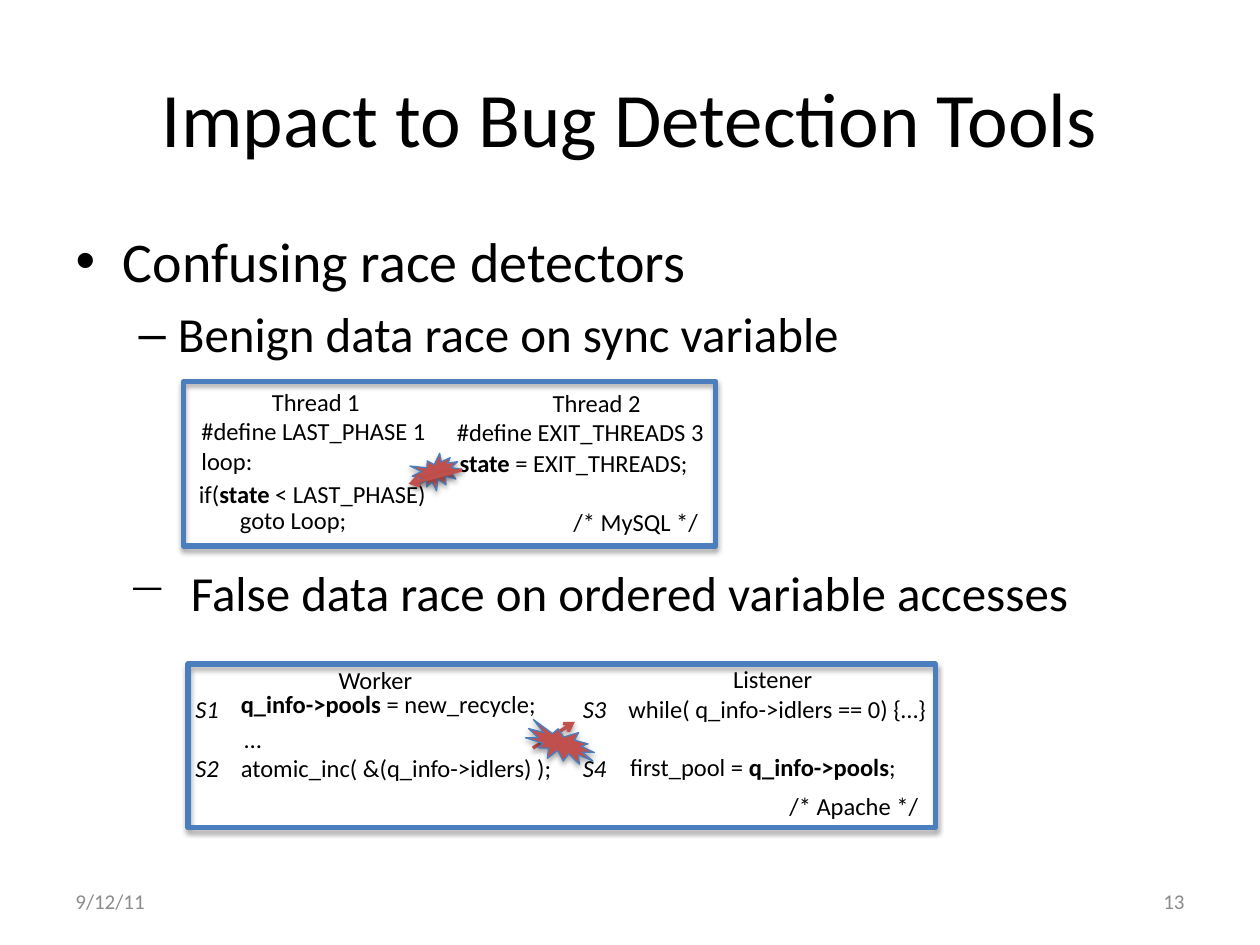
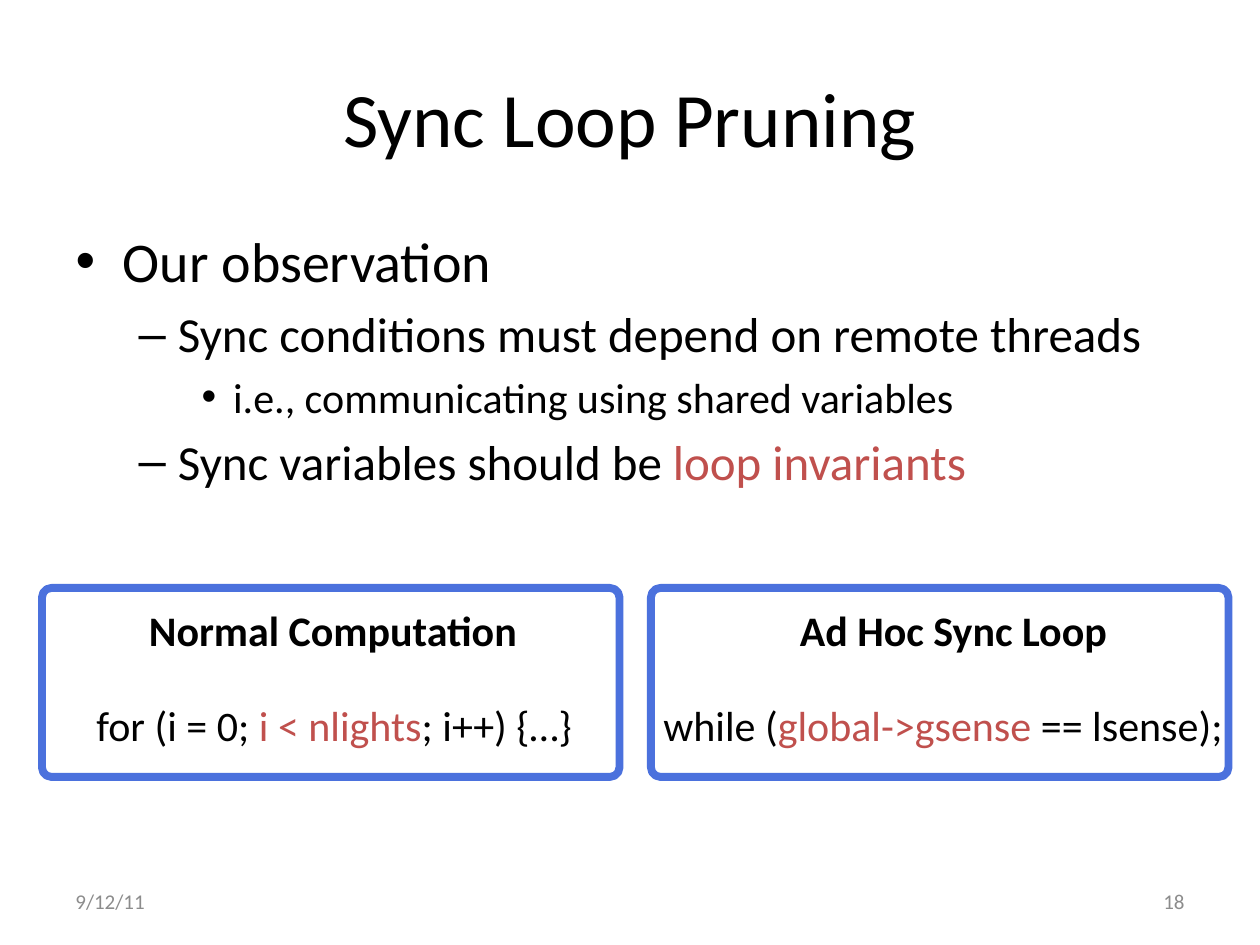
from dataclasses import dataclass

from lxml import etree
from pptx import Presentation
from pptx.dml.color import RGBColor
from pptx.enum.shapes import MSO_CONNECTOR, MSO_SHAPE
from pptx.enum.text import MSO_ANCHOR, MSO_AUTO_SIZE, PP_ALIGN
from pptx.oxml.ns import qn
from pptx.util import Pt

LEFT, CENTER, RIGHT = PP_ALIGN.LEFT, PP_ALIGN.CENTER, PP_ALIGN.RIGHT
MIDDLE = MSO_ANCHOR.MIDDLE
FIT_TEXT, FIXED_SIZE = MSO_AUTO_SIZE.SHAPE_TO_FIT_TEXT, MSO_AUTO_SIZE.NONE
STRAIGHT = MSO_CONNECTOR.STRAIGHT
RECTANGLE, ROUNDED = MSO_SHAPE.RECTANGLE, MSO_SHAPE.ROUNDED_RECTANGLE
EXPLOSION = MSO_SHAPE.EXPLOSION1

BLACK = RGBColor(0x00, 0x00, 0x00)
GRAY = RGBColor(0x8C, 0x8C, 0x8C)
RED = RGBColor(0xC0, 0x50, 0x4D)
STEEL_BLUE = RGBColor(0x4B, 0x7E, 0xBC)
ROYAL_BLUE = RGBColor(0x4B, 0x71, 0xDD)

FONT = "Calibri"
TITLE_SIZE, CODE_SIZE, FOOTER_SIZE = 44, 14, 12
LEVEL_SIZES = (32, 28, 24)
MARGIN, CONTENT_WIDTH = 36, 648
DATE = "9/12/11"


@dataclass
class Line:
    """One paragraph; runs are plain strings or (text, "bold" | "italic" | "red")."""
    runs: list
    level: int = 0
    align: PP_ALIGN = LEFT
    indent: float = 0
    gap: float = 0
    tab: float = 0
    bullet: str = ""


RACE_BULLETS = [
    Line(["Confusing race detectors"]),
    Line(["Benign data race on sync variable"], level=1),
]
FALSE_RACE = Line(["False data race on ordered variable accesses"], indent=36, bullet="−")

# left, top, width, lines
THREAD_COLUMNS = [
    (108, 217.5, 145, [
        Line(["Thread 1"], align=CENTER),
        Line(["#define LAST_PHASE 1"]),
        Line(["loop:"]),
        Line(["goto Loop;"], indent=22, gap=17),
    ]),
    (254, 218, 174, [
        Line(["Thread 2"], align=CENTER),
        Line(["#define EXIT_THREADS 3"]),
    ]),
    (104.5, 376.5, 220, [
        Line(["Worker"], align=CENTER),
        Line([("S1", "italic")]),
        Line(["…"], indent=28),
        Line([("S2", "italic"), "\tatomic_inc( &(q_info->idlers) );"], tab=26),
    ]),
    (326, 376, 231, [
        Line(["Listener"], align=CENTER),
        Line([("S3", "italic"), "\twhile( q_info->idlers == 0) {…}"], tab=26),
        Line([("S4", "italic")], gap=17),
    ]),
]
CODE_FRAMES = [(105, 218, 304, 94), (107.5, 379.5, 427, 93.5)]

# left, top, width, runs
CODE_PIECES = [
    (320.5, 286, 87, ["/* MySQL */"]),
    (444, 448.5, 89, ["/* Apache */"]),
    (106.5, 270, 145.5, ["if(", ("state", "bold"), " < LAST_PHASE)"]),
    (255.5, 252.5, 146, [("state", "bold"), " = EXIT_THREADS;"]),
    (130.5, 390, 184, [("q_info->pools ", "bold"), "= new_recycle;"]),
    (353, 426, 167, ["first_pool = ", ("q_info->pools", "bold"), ";"]),
]
# left, top, width, height, rotation
RACE_BURSTS = [(235.5, 260, 28, 20, -16.6), (300, 415.5, 41, 20, 20.7)]
# start x, start y, end x, end y
ORDER_ARROW = (304.5, 427.5, 328.5, 412.5)
RACE_ARROW = (264, 268.5, 233.5, 276.5)

PRUNING_BULLETS = [
    Line(["Our observation"]),
    Line(["Sync conditions must depend on remote threads"], level=1),
    Line(["i.e., communicating using shared variables"], level=2),
    Line(["Sync variables should be ", ("loop invariants", "red")], level=1),
]
# heading left, heading width, heading, code left, code width, code
LOOP_PANELS = [
    (78, 227, "Normal Computation",
     48, 289.5, ["for (i = 0; ", ("i < nlights", "red"), "; i++) {…}"]),
    (450, 192, "Ad Hoc Sync Loop",
     372, 338, ["while (", ("global->gsense ", "red"), "== lsense);"]),
]
PANEL_LEFT, PANEL_TOP, PANEL_WIDTH, PANEL_HEIGHT, PANEL_STEP = 24, 336, 330, 108, 348


def points(*values):
    return [Pt(value) for value in values]


def fill_paragraph(paragraph, line, size, color=BLACK):
    properties = paragraph._p.get_or_add_pPr()
    if line.indent:
        properties.set("marL", str(Pt(line.indent)))
    if line.bullet:
        properties.set("indent", str(-Pt(line.indent)))
        etree.SubElement(properties, qn("a:buChar"), char=line.bullet)
    if line.tab:
        tabs = etree.SubElement(properties, qn("a:tabLst"))
        etree.SubElement(tabs, qn("a:tab"), pos=str(Pt(line.tab)), algn="l")
    if line.gap:
        paragraph.space_before = Pt(line.gap)
    paragraph.alignment = line.align
    paragraph.level = line.level
    for item in line.runs:
        text, style = (item, "") if isinstance(item, str) else item
        run = paragraph.add_run()
        run.text = text
        run.font.name, run.font.size = FONT, Pt(size)
        run.font.color.rgb = RED if style == "red" else color
        if style == "bold":
            run.font.bold = True
        elif style == "italic":
            run.font.italic = True


def fill_frame(text_frame, lines, sizes, color=BLACK):
    """Write the lines, taking each one's size from its level."""
    for index, line in enumerate(lines):
        paragraph = text_frame.add_paragraph() if index else text_frame.paragraphs[0]
        fill_paragraph(paragraph, line, sizes[line.level], color)


def add_text(slide, left, top, width, height, lines, size, wrap=True, color=BLACK):
    box = slide.shapes.add_textbox(*points(left, top, width, height))
    box.text_frame.word_wrap = wrap
    box.text_frame.auto_size = FIT_TEXT
    fill_frame(box.text_frame, lines, [size], color)
    return box


def add_footer(slide, left, text, align):
    box = add_text(slide, left, 500.5, 168, 28.8, [Line([text], align=align)],
                   FOOTER_SIZE, color=GRAY)
    box.text_frame.auto_size = FIXED_SIZE
    box.text_frame.vertical_anchor = MIDDLE


def add_shadow(shape):
    properties = shape._element.spPr
    effects = properties.find(qn("a:effectLst"))
    if effects is None:
        effects = etree.SubElement(properties, qn("a:effectLst"))
    shadow = etree.SubElement(effects, qn("a:outerShdw"), blurRad=str(Pt(3.1)),
                              dist=str(Pt(1.8)), dir="5400000", rotWithShape="0")
    black = etree.SubElement(shadow, qn("a:srgbClr"), val="000000")
    etree.SubElement(black, qn("a:alpha"), val="35000")


def add_outline(slide, kind, bounds, line_color, line_width, fill=None):
    shape = slide.shapes.add_shape(kind, *points(*bounds))
    shape.shadow.inherit = False
    if fill is None:
        shape.fill.background()
    else:
        shape.fill.solid()
        shape.fill.fore_color.rgb = fill
    shape.line.color.rgb = line_color
    shape.line.width = Pt(line_width)
    return shape


def add_arrow(slide, ends):
    arrow = slide.shapes.add_connector(STRAIGHT, *points(*ends))
    arrow.line.color.rgb = RED
    arrow.line.width = Pt(2)
    etree.SubElement(arrow.line._get_or_add_ln(), qn("a:tailEnd"), type="arrow")
    add_shadow(arrow)


def add_burst(slide, left, top, width, height, rotation):
    burst = add_outline(slide, EXPLOSION, (left, top, width, height), STEEL_BLUE, 0.75, RED)
    burst.rotation = rotation
    add_shadow(burst)


def add_content_slide(presentation, title, bullets, body_height, number):
    slide = presentation.slides.add_slide(presentation.slide_layouts[1])
    heading, body = slide.placeholders
    for placeholder, top, height in ((heading, 21.6, 90), (body, 126, body_height)):
        placeholder.left, placeholder.top, placeholder.width, placeholder.height = points(
            MARGIN, top, CONTENT_WIDTH, height)
        placeholder.text_frame.auto_size = FIXED_SIZE
    heading.text_frame.vertical_anchor = MIDDLE
    fill_frame(heading.text_frame, [Line([title], align=CENTER)], [TITLE_SIZE])
    fill_frame(body.text_frame, bullets, LEVEL_SIZES)
    add_footer(slide, MARGIN, DATE, LEFT)
    add_footer(slide, 516, number, RIGHT)
    return slide


def build_race_slide(presentation):
    slide = add_content_slide(presentation, "Impact to Bug Detection Tools",
                              RACE_BULLETS, 90, "13")
    for left, top, width, lines in THREAD_COLUMNS:
        add_text(slide, left, top, width, 75, lines, CODE_SIZE)
    for bounds in CODE_FRAMES:
        add_shadow(add_outline(slide, RECTANGLE, bounds, STEEL_BLUE, 3))
    for left, top, width, runs in CODE_PIECES:
        add_text(slide, left, top, width, 24.5, [Line(runs)], CODE_SIZE, wrap=False)
    add_arrow(slide, ORDER_ARROW)
    for burst in RACE_BURSTS:
        add_burst(slide, *burst)
    add_arrow(slide, RACE_ARROW)
    add_text(slide, 66, 318, 588, 41, [FALSE_RACE], LEVEL_SIZES[1])


def build_pruning_slide(presentation):
    slide = add_content_slide(presentation, "Sync Loop Pruning", PRUNING_BULLETS, 174, "18")
    for index, panel in enumerate(LOOP_PANELS):
        heading_left, heading_width, heading, code_left, code_width, code = panel
        bounds = (PANEL_LEFT + index * PANEL_STEP, PANEL_TOP, PANEL_WIDTH, PANEL_HEIGHT)
        frame = add_outline(slide, ROUNDED, bounds, ROYAL_BLUE, 4.5)
        frame.adjustments[0] = 0.05
        add_text(slide, heading_left, PANEL_TOP + 6, heading_width, 36,
                 [Line([(heading, "bold")])], LEVEL_SIZES[2], wrap=False)
        add_text(slide, code_left, PANEL_TOP + 60, code_width, 36,
                 [Line(code)], LEVEL_SIZES[2], wrap=False)


def main():
    presentation = Presentation()
    presentation.slide_width, presentation.slide_height = points(720, 540)
    build_race_slide(presentation)
    build_pruning_slide(presentation)
    presentation.save("out.pptx")


if __name__ == "__main__":
    main()
